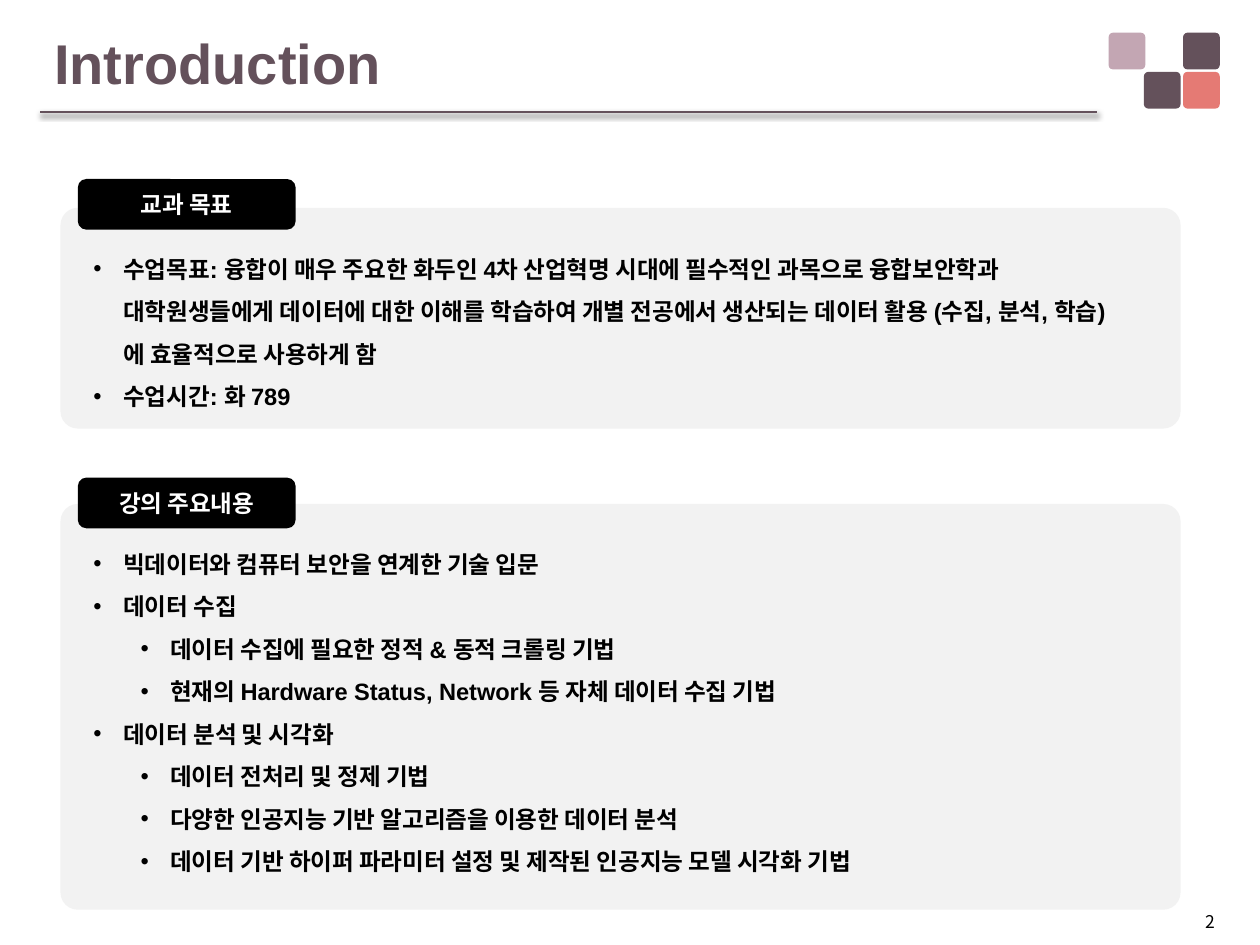
from dataclasses import dataclass

from lxml.etree import SubElement
from pptx import Presentation
from pptx.dml.color import RGBColor as Color
from pptx.enum.shapes import MSO_CONNECTOR as Connector, MSO_SHAPE as Preset
from pptx.enum.text import MSO_ANCHOR as Anchor, MSO_AUTO_SIZE as AutoSize, PP_ALIGN as Align
from pptx.oxml.ns import qn
from pptx.util import Cm, Pt


@dataclass(frozen=True)
class Theme:
    plum: Color = Color.from_string("64515B")
    mauve: Color = Color.from_string("C3A6B3")
    coral: Color = Color.from_string("E57A74")
    panel: Color = Color.from_string("F2F2F2")
    black: Color = Color.from_string("000000")
    white: Color = Color.from_string("FFFFFF")
    latin: str = "Arial"
    korean: str = "Noto Sans CJK KR"
    title_size: float = 32
    text_size: float = 13.5
    number_size: float = 10


@dataclass(frozen=True)
class Box:
    left: float
    top: float
    width: float
    height: float

    def lengths(self) -> tuple:
        return Cm(self.left), Cm(self.top), Cm(self.width), Cm(self.height)


@dataclass(frozen=True)
class Item:
    text: str
    level: int = 0


@dataclass(frozen=True)
class Section:
    heading: str
    tab_top: float
    panel_top: float
    panel_height: float
    list_top: float
    items: tuple


@dataclass(frozen=True)
class Tile:
    column: float
    row: int
    color: Color


THEME = Theme()

TILES = (
    Tile(2, 0, THEME.plum),
    Tile(1, 1, THEME.plum),
    Tile(2, 1, THEME.coral),
    Tile(0.1, 0, THEME.mauve),
)

SECTIONS = (
    Section("강의 주요내용", 9.63, 10.16, 8.18, 10.67, (
        Item("빅데이터와 컴퓨터 보안을 연계한 기술 입문"),
        Item("데이터 수집"),
        Item("데이터 수집에 필요한 정적 & 동적 크롤링 기법", 1),
        Item("현재의 Hardware Status, Network 등 자체 데이터 수집 기법", 1),
        Item("데이터 분석 및 시각화"),
        Item("데이터 전처리 및 정제 기법", 1),
        Item("다양한 인공지능 기반 알고리즘을 이용한 데이터 분석", 1),
        Item("데이터 기반 하이퍼 파라미터 설정 및 제작된 인공지능 모델 시각화 기법", 1),
    )),
    Section("교과 목표", 3.61, 4.19, 4.45, 4.72, (
        Item("수업목표: 융합이 매우 주요한 화두인 4차 산업혁명 시대에 필수적인 과목으로 "
             "융합보안학과 대학원생들에게 데이터에 대한 이해를 학습하여 개별 전공에서 "
             "생산되는 데이터 활용 (수집, 분석, 학습)에 효율적으로 사용하게 함"),
        Item("수업시간: 화 789"),
    )),
)


def place(shape, box: Box) -> None:
    shape.left, shape.top, shape.width, shape.height = box.lengths()


def add_run(paragraph, text: str, size: float, color: Color,
            bold: bool = True, latin: str = THEME.latin) -> None:
    run = paragraph.add_run()
    run.text = text
    run.font.size = Pt(size)
    run.font.bold = bold
    run.font.name = latin
    run.font.color.rgb = color
    east_asian = SubElement(run.font._element, qn("a:ea"))
    east_asian.set("typeface", THEME.korean)


def add_rounded(slide, box: Box, color: Color, radius: float):
    shape = slide.shapes.add_shape(Preset.ROUNDED_RECTANGLE, *box.lengths())
    shape.adjustments[0] = radius / min(box.width, box.height)
    shape.shadow.inherit = False
    shape.fill.solid()
    shape.fill.fore_color.rgb = color
    shape.line.fill.background()
    return shape


def add_tile(slide, tile: Tile) -> None:
    step, side = 0.79, 0.74
    box = Box(22.27 + tile.column * step, 0.66 + tile.row * step, side, side)
    add_rounded(slide, box, tile.color, 0.09)


def add_title_rule(slide) -> None:
    rule = slide.shapes.add_connector(Connector.STRAIGHT, Cm(0.81), Cm(2.26), Cm(22.12), Cm(2.26))
    rule.line.color.rgb = THEME.plum
    rule.line.width = Pt(1.5)
    effects = SubElement(rule._element.spPr, qn("a:effectLst"))
    shadow = SubElement(effects, qn("a:outerShdw"), blurRad=str(Pt(3.1)), dist=str(Pt(1.6)),
                        dir="5400000", rotWithShape="0")
    shadow_color = SubElement(shadow, qn("a:srgbClr"), val=str(THEME.black))
    SubElement(shadow_color, qn("a:alpha"), val="38000")


def fill_title(title) -> None:
    place(title, Box(0.84, 0.43, 23.88, 1.65))
    frame = title.text_frame
    frame.auto_size = AutoSize.NONE
    frame.vertical_anchor = Anchor.MIDDLE
    paragraph = frame.paragraphs[0]
    paragraph.alignment = Align.LEFT
    add_run(paragraph, "Introduction", THEME.title_size, THEME.plum)


def add_item(paragraph, item: Item) -> None:
    paragraph.level = item.level
    paragraph.line_spacing = 1.5
    paragraph.space_before = paragraph.space_after = Pt(0)
    properties = paragraph._p.get_or_add_pPr()
    properties.set("marL", str(Cm(0.6 + 0.95 * item.level)))
    properties.set("indent", str(Cm(-0.6)))
    SubElement(properties, qn("a:buFont"), typeface=THEME.latin)
    SubElement(properties, qn("a:buChar"), char="•")
    add_run(paragraph, item.text, THEME.text_size, THEME.black)


def add_section(slide, section: Section, body) -> None:
    # Panel behind the list
    panel = Box(1.22, section.panel_top, 22.58, section.panel_height)
    add_rounded(slide, panel, THEME.panel, 0.35)

    # Bulleted list, brought in front of the panel
    place(body, Box(1.63, section.list_top, 21.16, section.panel_height - 0.85))
    body.element.getparent().append(body.element)
    frame = body.text_frame
    frame.auto_size = AutoSize.NONE
    for index, item in enumerate(section.items):
        add_item(frame.paragraphs[0] if index == 0 else frame.add_paragraph(), item)

    # Heading tab
    tab = add_rounded(slide, Box(1.57, section.tab_top, 4.39, 1.02), THEME.black, 0.17)
    tab.text_frame.vertical_anchor = Anchor.MIDDLE
    paragraph = tab.text_frame.paragraphs[0]
    paragraph.alignment = Align.CENTER
    add_run(paragraph, section.heading, THEME.text_size, THEME.white)


def add_page_number(slide) -> None:
    number = slide.shapes.add_textbox(*Box(0.46, 18.24, 24.28, 0.69).lengths())
    number.text_frame.word_wrap = True
    paragraph = number.text_frame.paragraphs[0]
    paragraph.alignment = Align.RIGHT
    add_run(paragraph, "2", THEME.number_size, THEME.black, bold=False, latin=THEME.korean)


def main() -> None:
    presentation = Presentation()
    presentation.slide_width, presentation.slide_height = Cm(25.4), Cm(19.05)
    two_content = presentation.slide_layouts[3]
    slide = presentation.slides.add_slide(two_content)
    title, *bodies = slide.placeholders

    # Header
    for tile in TILES:
        add_tile(slide, tile)
    add_title_rule(slide)
    fill_title(title)

    # Content and footer
    for section, body in zip(SECTIONS, bodies):
        add_section(slide, section, body)
    add_page_number(slide)
    presentation.save("out.pptx")


if __name__ == "__main__":
    main()
